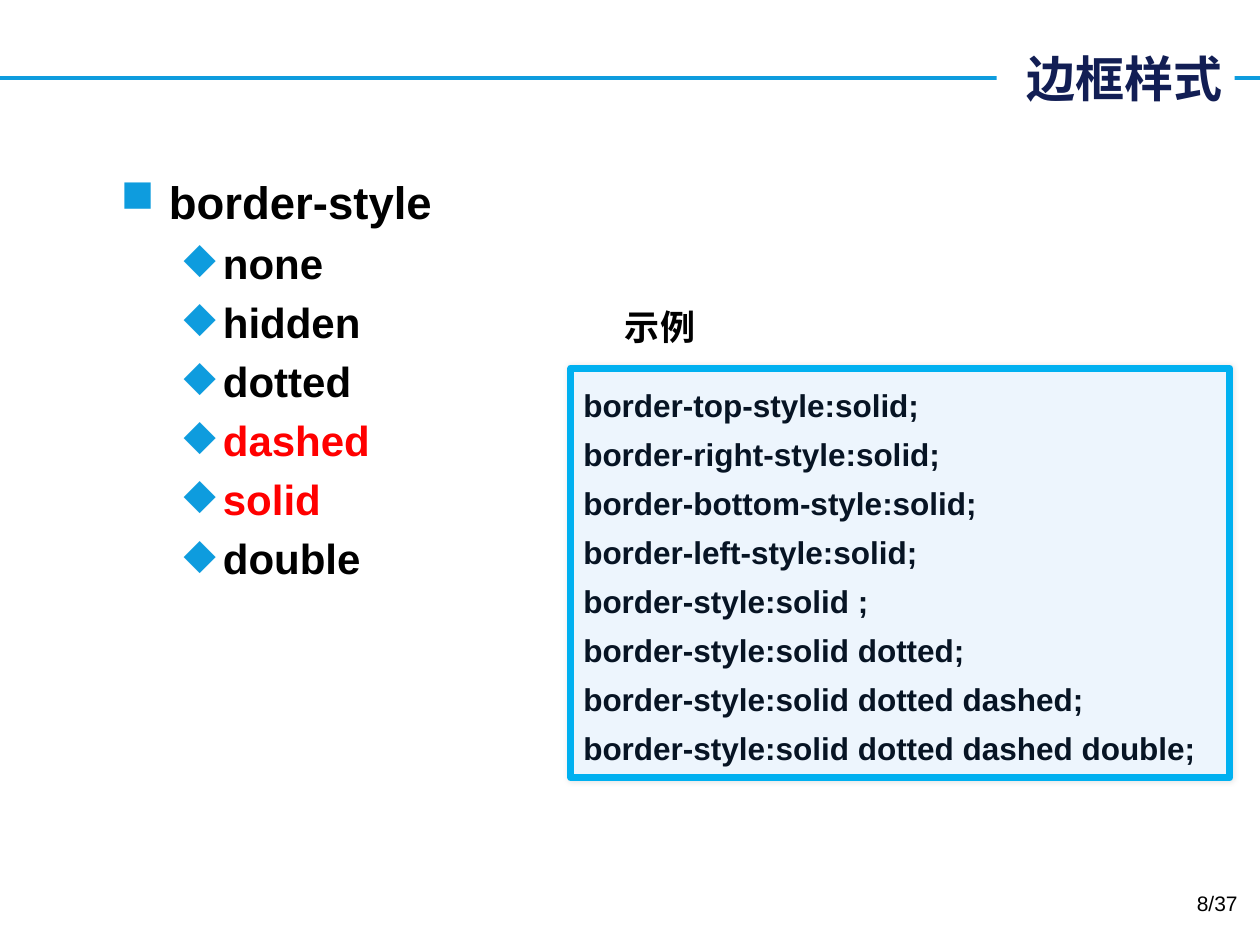
from lxml import etree
from pptx import Presentation
from pptx.dml.color import RGBColor
from pptx.enum.shapes import MSO_CONNECTOR as Conn, MSO_SHAPE as Form
from pptx.enum.text import MSO_ANCHOR as Anchor, MSO_AUTO_SIZE as Fit, PP_ALIGN as Align
from pptx.oxml.ns import qn
from pptx.util import Cm, Pt

BLUE = RGBColor(0x0E, 0x9C, 0xDE)
SKY = RGBColor(0x00, 0xB0, 0xF0)
PALE = RGBColor(0xED, 0xF5, 0xFD)
NAVY = RGBColor(0x12, 0x1E, 0x54)
INK = RGBColor(0x07, 0x14, 0x24)
RED = RGBColor(0xFF, 0x00, 0x00)
BLACK = RGBColor(0x00, 0x00, 0x00)
WHITE = RGBColor(0xFF, 0xFF, 0xFF)
LATIN, HAN = "Arial", "Noto Sans CJK SC"

STYLES = [("none", BLACK), ("hidden", BLACK), ("dotted", BLACK),
          ("dashed", RED), ("solid", RED), ("double", BLACK)]
CODE = ["border-top-style:solid;", "border-right-style:solid;",
        "border-bottom-style:solid;", "border-left-style:solid;",
        "border-style:solid ;", "border-style:solid dotted;",
        "border-style:solid dotted dashed;",
        "border-style:solid dotted dashed double;"]


def sub(node, tag, **attrs):
    return etree.SubElement(node, qn(tag), {k: str(v) for k, v in attrs.items()})


def place(shape, box):
    shape.left, shape.top, shape.width, shape.height = (Cm(v) for v in box)


def write(para, text, size, color, name=LATIN, bold=True):
    run = para.add_run()
    run.text = text
    font = run.font
    font.size, font.bold, font.name = Pt(size), bold, name
    font.color.rgb = color
    if name == HAN:
        sub(font._element, "a:ea", typeface=HAN)
    return run


def shade(node, blur, dist, angle, alpha):
    fx = sub(node, "a:effectLst")
    cast = sub(fx, "a:outerShdw", blurRad=Pt(blur), dist=Pt(dist),
               dir=angle * 60000, algn="ctr", rotWithShape=0)
    tint = sub(cast, "a:srgbClr", val=BLACK)
    sub(tint, "a:alpha", val=alpha * 1000)
    return fx


def header(slide, box):
    x, y, w, h = box
    rule = slide.shapes.add_connector(
        Conn.STRAIGHT, 0, Cm(y + h / 2), Cm(25.4), Cm(y + h / 2))
    rule.line.color.rgb = BLUE
    rule.line.width = Pt(2.25)
    sub(rule._element.spPr, "a:effectLst")
    slide.shapes._spTree.insert(2, rule._element)
    title = slide.shapes.title
    place(title, box)
    title.fill.solid()
    title.fill.fore_color.rgb = WHITE
    frame = title.text_frame
    frame.auto_size, frame.vertical_anchor = Fit.NONE, Anchor.MIDDLE
    para = frame.paragraphs[0]
    para.alignment = Align.RIGHT
    write(para, "边框样式", 28, NAVY, HAN)


def item(para, level, text, size, color):
    left, hang, mark = [(0.97, 0.97, "■"), (2.06, 0.79, "◆")][level]
    props = para._p.get_or_add_pPr()
    props.set("marL", str(Cm(left)))
    props.set("indent", str(-Cm(hang)))
    sub(sub(props, "a:buClr"), "a:srgbClr", val=BLUE)
    sub(props, "a:buFont", typeface="OpenSymbol")
    sub(props, "a:buChar", char=mark)
    para.level = level
    para.space_before = Pt(5 * level)
    write(para, text, size, color)


def listing(slide, box):
    body = slide.placeholders[1]
    place(body, box)
    frame = body.text_frame
    frame.auto_size = Fit.NONE
    item(frame.paragraphs[0], 0, "border-style", 26, BLACK)
    for text, color in STYLES:
        item(frame.add_paragraph(), 1, text, 24, color)


def sample(slide, box):
    x, y, w, h = box
    label = slide.shapes.add_textbox(Cm(x + 0.84), Cm(y - 1.4), Cm(1.96), Cm(1.12))
    frame = label.text_frame
    frame.word_wrap, frame.vertical_anchor = False, Anchor.MIDDLE
    run = write(frame.paragraphs[0], "示例", 20, BLACK, HAN)
    props = run.font._element
    props.find(qn("a:latin")).addprevious(shade(props, 3, 2, 45, 43))

    panel = slide.shapes.add_shape(Form.ROUNDED_RECTANGLE, 0, 0, 0, 0)
    place(panel, box)
    panel.adjustments[0] = 0
    panel.fill.solid()
    panel.fill.fore_color.rgb = PALE
    panel.line.color.rgb = SKY
    panel.line.width = Pt(4)
    shade(panel._element.spPr, 3, 0, 0, 10)
    frame = panel.text_frame
    frame.word_wrap, frame.vertical_anchor = True, Anchor.TOP
    for n, text in enumerate(CODE):
        para = frame.add_paragraph() if n else frame.paragraphs[0]
        tabs = sub(para._p.get_or_add_pPr(), "a:tabLst")
        sub(tabs, "a:tab", pos=Cm(1.24), algn="l")
        para.alignment, para.line_spacing = Align.LEFT, 1.3
        write(para, text, 18, INK)


def footer(slide, box):
    note = slide.shapes.add_textbox(*(Cm(v) for v in box))
    note.text_frame.word_wrap = True
    para = note.text_frame.paragraphs[0]
    para.alignment = Align.RIGHT
    write(para, "8/37", 12, BLACK, bold=False)


def main():
    deck = Presentation()
    deck.slide_width, deck.slide_height = Cm(25.4), Cm(19.05)
    slide = deck.slides.add_slide(deck.slide_layouts[1])
    header(slide, (20.09, 0.85, 4.8, 1.45))
    listing(slide, (2.18, 3.38, 21.23, 14.3))
    sample(slide, (11.51, 7.42, 13.28, 8.26))
    footer(slide, (19.28, 17.83, 5.92, 1.02))
    deck.save("out.pptx")


if __name__ == "__main__":
    main()
